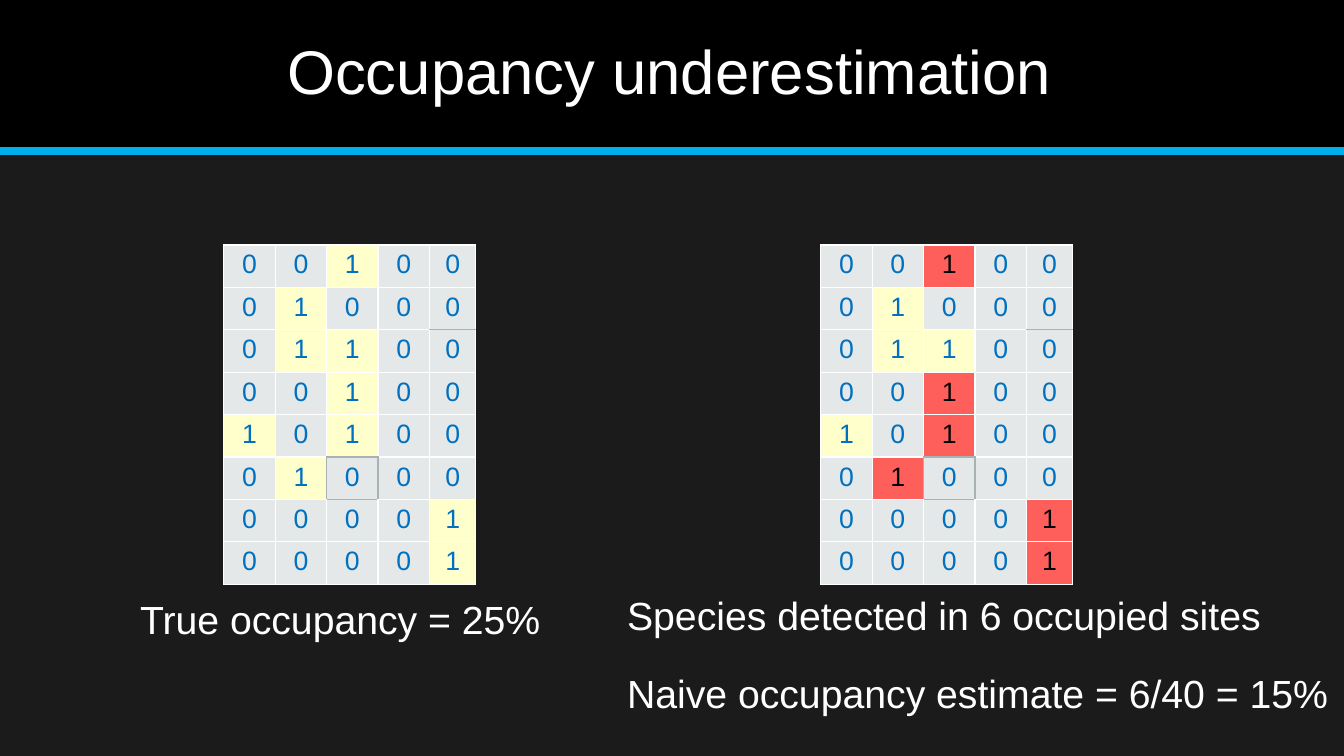
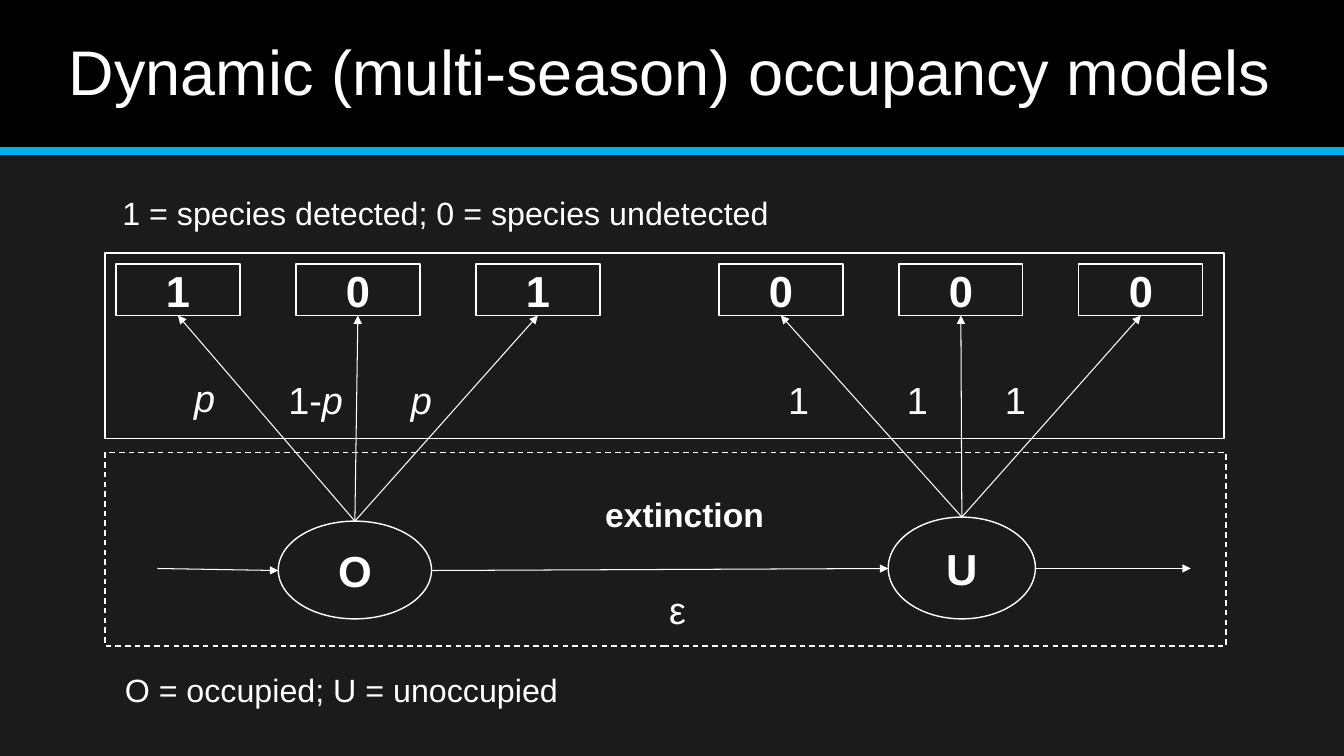
import pptx
import pptx.dml.color
import pptx.enum.dml
import pptx.enum.shapes
import pptx.enum.text
import pptx.oxml
import pptx.oxml.ns
import pptx.util
from pptx.util import Inches

COLORS = {
    "background": "1B1B1B", "band": "000000", "accent": "00B0EA",
    "text": "FFFFFF", "digit": "0070C0", "digit_detected": "000000",
    "empty": "E5E8E8", "occupied": "FFFFCC", "detected": "FF5F5B",
    "grid": "FFFFFF", "grid_grey": "A8B2B2",
}
FONT = "Arial"
SHAPES = pptx.enum.shapes.MSO_SHAPE
ALIGN = pptx.enum.text.PP_ALIGN
ANCHOR = pptx.enum.text.MSO_ANCHOR
WIDTH, HEIGHT = 13.33, 7.5

SITES = ["00100", "01000", "01100", "00100", "10100", "01000", "00001", "00001"]
DETECTED = {(0, 2), (3, 2), (4, 2), (5, 1), (6, 4), (7, 4)}
COLUMN_WIDTHS = [0.51, 0.51, 0.51, 0.51, 0.46]
NEIGHBOURS = {"lnL": (0, -1), "lnR": (0, 1), "lnT": (-1, 0), "lnB": (1, 0)}
# Pairs of adjacent cells whose shared edge is grey.
GREY_EDGES = {
    frozenset(pair) for pair in [
        ((1, 4), (2, 4)), ((5, 2), (4, 2)), ((5, 2), (6, 2)),
        ((5, 2), (5, 1)), ((5, 2), (5, 3)),
    ]
}


def rgb(name):
    return pptx.dml.color.RGBColor.from_string(COLORS[name])


def add_child(parent, xml):
    parent.append(pptx.oxml.parse_xml(
        xml.replace(">", " " + pptx.oxml.ns.nsdecls("a") + ">", 1)))


class Slides:
    """Holds the deck, its style and the slide being drawn."""

    def __init__(self):
        self.deck = pptx.Presentation()
        self.deck.slide_width = Inches(WIDTH)
        self.deck.slide_height = Inches(HEIGHT)
        self.page = None

    def start(self, title, size):
        self.page = self.deck.slides.add_slide(self.deck.slide_layouts[6])
        self.page.background.fill.solid()
        self.page.background.fill.fore_color.rgb = rgb("background")
        self.shape(SHAPES.RECTANGLE, 0, 0, WIDTH, 1.5, fill="band")
        self.line((0, 1.5), (WIDTH, 1.5), "accent", 6)
        box = self.text(title, 0.13, 0.14, 13.02, 1.2, size)
        box.text_frame.vertical_anchor = ANCHOR.MIDDLE
        box.text_frame.paragraphs[0].line_spacing = 0.9

    def style(self, paragraph, size, color="text", bold=False, italic=False,
              align=ALIGN.CENTER):
        paragraph.alignment = align
        for span in paragraph.runs:
            span.font.name = FONT
            span.font.size = pptx.util.Pt(size)
            span.font.color.rgb = rgb(color)
            span.font.bold = bold
            span.font.italic = italic

    def insets(self, frame):
        frame.word_wrap = True
        frame.margin_left = frame.margin_right = Inches(0.11)
        frame.margin_top = frame.margin_bottom = Inches(0.06)

    def text(self, words, left, top, width, height, size, space=0, **look):
        """Adds a text box; each line of words is a paragraph."""
        box = self.page.shapes.add_textbox(
            Inches(left), Inches(top), Inches(width), Inches(height))
        self.insets(box.text_frame)
        box.text_frame.text = words
        for number, para in enumerate(box.text_frame.paragraphs):
            self.style(para, size, **look)
            if number:
                para.space_before = pptx.util.Pt(space)
        return box

    def shape(self, kind, left, top, width, height, words="", fill=None,
              dashed=False):
        shape = self.page.shapes.add_shape(
            kind, Inches(left), Inches(top), Inches(width), Inches(height))
        shape.shadow.inherit = False
        if fill:
            shape.fill.solid()
            shape.fill.fore_color.rgb = rgb(fill)
            shape.line.fill.background()
        else:
            shape.fill.background()
            shape.line.color.rgb = rgb("text")
            shape.line.width = pptx.util.Pt(1)
        if dashed:
            shape.line.dash_style = pptx.enum.dml.MSO_LINE.DASH
        if words:
            self.insets(shape.text_frame)
            shape.text_frame.vertical_anchor = ANCHOR.MIDDLE
            shape.text_frame.text = words
            self.style(shape.text_frame.paragraphs[0], 31, bold=True)
        return shape

    def line(self, start, end, color="text", weight=0.75):
        points = [Inches(length) for length in (*start, *end)]
        line = self.page.shapes.add_connector(
            pptx.enum.shapes.MSO_CONNECTOR.STRAIGHT, *points)
        line.line.color.rgb = rgb(color)
        line.line.width = pptx.util.Pt(weight)
        add_child(line.element.spPr, "<a:effectLst></a:effectLst>")
        return line

    def arrow(self, start, end):
        arrow = self.line(start, end)
        add_child(arrow.line._get_or_add_ln(),
                  '<a:tailEnd type="triangle"></a:tailEnd>')
        return arrow

    def link(self, state, observation):
        """Arrow from the top of a state to the bottom of an observation."""
        arrow = self.arrow((0, 0), (1, 1))
        arrow.begin_connect(state, 0)
        arrow.end_connect(observation, 2)

    def site_grid(self, left, top, detected=()):
        table = self.page.shapes.add_table(
            len(SITES), len(COLUMN_WIDTHS), Inches(left), Inches(top),
            Inches(sum(COLUMN_WIDTHS)), Inches(3.37)).table
        table.first_row = table.horz_banding = False
        for column, width in zip(table.columns, COLUMN_WIDTHS):
            column.width = Inches(width)
        for row, digits in enumerate(SITES):
            for column, digit in enumerate(digits):
                cell = table.cell(row, column)
                found = (row, column) in detected
                cell.text_frame.text = digit
                self.style(cell.text_frame.paragraphs[0], 19,
                           "digit_detected" if found else "digit")
                self.borders(cell, row, column)
                state = "occupied" if digit == "1" else "empty"
                cell.fill.solid()
                cell.fill.fore_color.rgb = rgb("detected" if found else state)

    def borders(self, cell, row, column):
        properties = cell._tc.get_or_add_tcPr()
        for side, (down, right) in NEIGHBOURS.items():
            edge = frozenset([(row, column), (row + down, column + right)])
            color = COLORS["grid_grey" if edge in GREY_EDGES else "grid"]
            add_child(properties,
                      f'<a:{side} w="12700"><a:solidFill><a:srgbClr val="{color}"/>'
                      f'</a:solidFill></a:{side}>')


def underestimation(slides):
    slides.start("Occupancy underestimation", 44)
    slides.site_grid(8.14, 2.43, DETECTED)
    slides.site_grid(2.22, 2.43)
    slides.text("True occupancy = 25%", 1.28, 5.85, 4.7, 0.59, 28,
                align=ALIGN.LEFT)
    slides.text("Species detected in 6 occupied sites\n"
                "Naive occupancy estimate = 6/40 = 15%",
                6.11, 5.81, 7.22, 1.37, 28, space=22, align=ALIGN.LEFT)


def dynamic_models(slides):
    slides.start("Dynamic (multi-season) occupancy models", 45)
    slides.shape(SHAPES.RECTANGLE, 1.04, 2.51, 11.1, 1.84)
    slides.shape(SHAPES.RECTANGLE, 1.04, 4.49, 11.12, 1.92, dashed=True)
    occupied = slides.shape(SHAPES.OVAL, 2.76, 5.17, 1.52, 0.97, "O")
    unoccupied = slides.shape(SHAPES.OVAL, 8.81, 5.13, 1.46, 1.01, "U")
    for state, left, history in [(occupied, 1.15, "101"),
                                 (unoccupied, 7.13, "000")]:
        for visit, digit in enumerate(history):
            observation = slides.shape(SHAPES.RECTANGLE, left + visit * 1.785,
                                       2.62, 1.23, 0.51, digit)
            slides.link(state, observation)
    for start, end in [((1.56, 5.64), (2.76, 5.66)),
                       ((4.28, 5.66), (8.81, 5.64)),
                       ((10.27, 5.64), (11.81, 5.64))]:
        slides.arrow(start, end)

    for words, left, top in [("p", 1.19, 3.66), ("1-", 2.29, 3.68),
                             ("p", 3.34, 3.68), ("1", 7.08, 3.68),
                             ("1", 8.26, 3.68), ("1", 9.23, 3.68),
                             ("ε", 5.88, 5.76)]:
        box = slides.text(words, left, top, 1.68, 0.57, 27)
        para = box.text_frame.paragraphs[0]
        if words == "1-":
            para.add_run().text = "p"
            slides.style(para, 27)
        para.runs[-1].font.italic = para.runs[-1].text == "p"
    slides.text("extinction", 5.77, 4.84, 2.04, 0.52, 24, bold=True)
    slides.text("1 = species detected; 0 = species undetected",
                1.03, 1.86, 6.79, 0.5, 23)
    slides.text("O = occupied; U = unoccupied", 0.98, 6.59, 4.82, 0.5, 23)


def main():
    slides = Slides()
    underestimation(slides)
    dynamic_models(slides)
    slides.deck.save("out.pptx")


if __name__ == "__main__":
    main()
